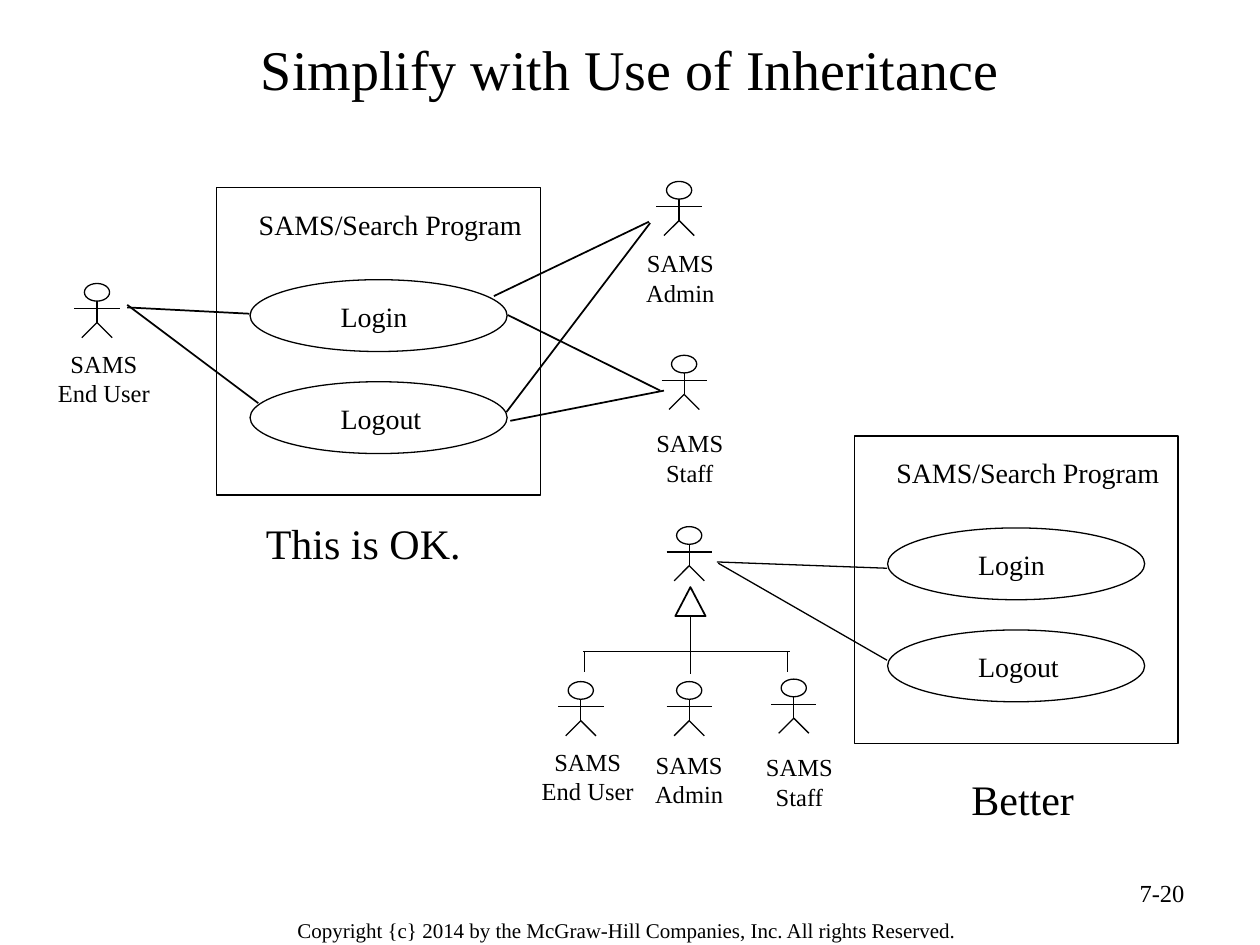
from lxml.etree import SubElement
from pptx import Presentation
from pptx.dml.color import RGBColor
from pptx.enum.shapes import MSO_CONNECTOR, MSO_SHAPE
from pptx.enum.text import MSO_ANCHOR, PP_ALIGN
from pptx.oxml.ns import qn
from pptx.util import Inches, Pt

BLACK = RGBColor(0, 0, 0)
FONT = "Times New Roman"
COLUMNS, ROWS = 100, 75


def write(frame, text, size=14, align=PP_ALIGN.LEFT, anchor=MSO_ANCHOR.TOP,
          wrap=False, margins=(0.1, 0.05)):
    """Fill a text frame, one paragraph for each line of text."""
    frame.text = text
    frame.word_wrap = wrap
    frame.vertical_anchor = anchor
    frame.margin_left = frame.margin_right = Inches(margins[0])
    frame.margin_top = frame.margin_bottom = Inches(margins[1])
    for para in frame.paragraphs:
        para.alignment = align
        para.space_before = Pt(0)
        para.font.name = FONT
        para.font.size = Pt(size)
        para.font.color.rgb = BLACK


class UseCasePage:
    """Draw use case elements on a slide measured in grid columns and rows."""

    def __init__(self, deck):
        self.page = deck.slides.add_slide(deck.slide_layouts[5])
        self.column = deck.slide_width / COLUMNS
        self.row = deck.slide_height / ROWS

    def scale(self, *lengths):
        """Turn alternating columns and rows into slide units."""
        return [round(length * (self.row if index % 2 else self.column))
                for index, length in enumerate(lengths)]

    def title(self, text, *place):
        """Move and format the title placeholder."""
        box = self.page.shapes.title
        box.left, box.top, box.width, box.height = self.scale(*place)
        write(box.text_frame, text, size=32, align=PP_ALIGN.CENTER,
              anchor=MSO_ANCHOR.MIDDLE, wrap=True)

    def label(self, text, *place, **style):
        """Add a text box."""
        box = self.page.shapes.add_textbox(*self.scale(*place))
        write(box.text_frame, text, **style)

    def outline(self, kind, *place, weight=0.75):
        """Add an unfilled shape with a black outline."""
        shape = self.page.shapes.add_shape(kind, *self.scale(*place))
        shape.shadow.inherit = False
        shape.fill.background()
        shape.line.color.rgb = BLACK
        shape.line.width = Pt(weight)

    def line(self, *ends, weight=0.75):
        """Add a straight line between two points."""
        line = self.page.shapes.add_connector(
            MSO_CONNECTOR.STRAIGHT, *self.scale(*ends))
        line.line.color.rgb = BLACK
        line.line.width = Pt(weight)
        SubElement(line._element.spPr, qn("a:effectLst"))

    def actor(self, center, top):
        """Add a stick figure."""
        hip = top + 3.1
        self.outline(MSO_SHAPE.OVAL, center - 1, top, 2, 1.4)
        self.line(center - 1.8, top + 2, center + 1.8, top + 2)
        self.line(center, top + 1.4, center, hip)
        for side in (-1.2, 1.2):
            self.line(center, hip, center + side, top + 4.3)

    def caption(self, name, center, top):
        """Add the centred name below an actor."""
        self.label(f"SAMS\n{name}", center - 4.65, top, 9.3, 5.7,
                   align=PP_ALIGN.CENTER)

    def system(self, left, top):
        """Add the system boundary with its two use cases."""
        self.outline(MSO_SHAPE.RECTANGLE, left, top, 25.7, 24.4)
        self.label("SAMS/Search Program", left + 2.35, top + 1.05, 22.9, 3.7,
                   size=16)
        cases = (("Login", 7.3), ("Logout", 8.4))
        for index, (name, width) in enumerate(cases):
            case_top = top + 7.3 + index * 8.1
            self.outline(MSO_SHAPE.OVAL, left + 2.65, case_top, 20.4, 5.7)
            self.label(name, left + 8.85, case_top + 1.05, width, 3.7, size=16)

    def inheritance(self, center, top):
        """Add the generalization arrow with its three branches."""
        bar = top + 5.1
        self.outline(MSO_SHAPE.ISOSCELES_TRIANGLE, center - 1.2, top, 2.4, 2.3,
                     weight=1)
        self.line(center, top + 2.3, center, top + 6.9, weight=1)
        self.line(46.3, bar, 62.7, bar, weight=1)
        for branch in (46.4, 62.5):
            self.line(branch, bar, branch, top + 6.7, weight=1)


def main():
    deck = Presentation()
    deck.slide_width, deck.slide_height = Inches(10), Inches(7.5)
    page = UseCasePage(deck)

    page.title("Simplify with Use of Inheritance", 5, 1.7, 90, 7.4)
    page.label("Copyright {c} 2014 by the McGraw-Hill Companies, Inc. "
               "All rights Reserved.", 18.8, 72.2, 61.9, 3.1, size=12,
               align=PP_ALIGN.CENTER, wrap=True, margins=(0.11, 0.06))
    page.label("7-20", 71.7, 69.2, 23.3, 5.2, align=PP_ALIGN.RIGHT, wrap=True)

    for corner in ((17.2, 14.9), (67.8, 34.6)):
        page.system(*corner)
    for figure in ((7.7, 22.5), (53.9, 14.4), (54.3, 28.2), (54.7, 41.8),
                   (46.1, 54.1), (54.7, 54.1), (63, 53.9)):
        page.actor(*figure)
    for caption in (("End User", 8.25, 27.2), ("Admin", 54, 19.2),
                    ("Staff", 54.75, 33.5), ("End User", 46.65, 58.8),
                    ("Admin", 54.7, 59), ("Staff", 63.45, 59.2)):
        page.caption(*caption)

    for link in ((10.1, 24.4, 19.8, 24.9), (10.1, 24.2, 20.5, 32),
                 (51.5, 17.6, 39.2, 23.5), (51.6, 17.7, 40.2, 32.7),
                 (40.3, 25, 52.4, 31), (40.5, 33.4, 52.7, 31)):
        page.line(*link, weight=1)
    for link in ((56.9, 44.6, 70.4, 45.1), (57, 44.7, 70.4, 52.4)):
        page.line(*link)
    page.inheritance(54.8, 46.6)

    for verdict, *place in (("This is OK.", 21.1, 41.1, 15.5, 4),
                            ("Better", 77.1, 61.4, 8.2, 4)):
        page.label(verdict, *place, size=24, margins=(0, 0))
    deck.save("out.pptx")


if __name__ == "__main__":
    main()
